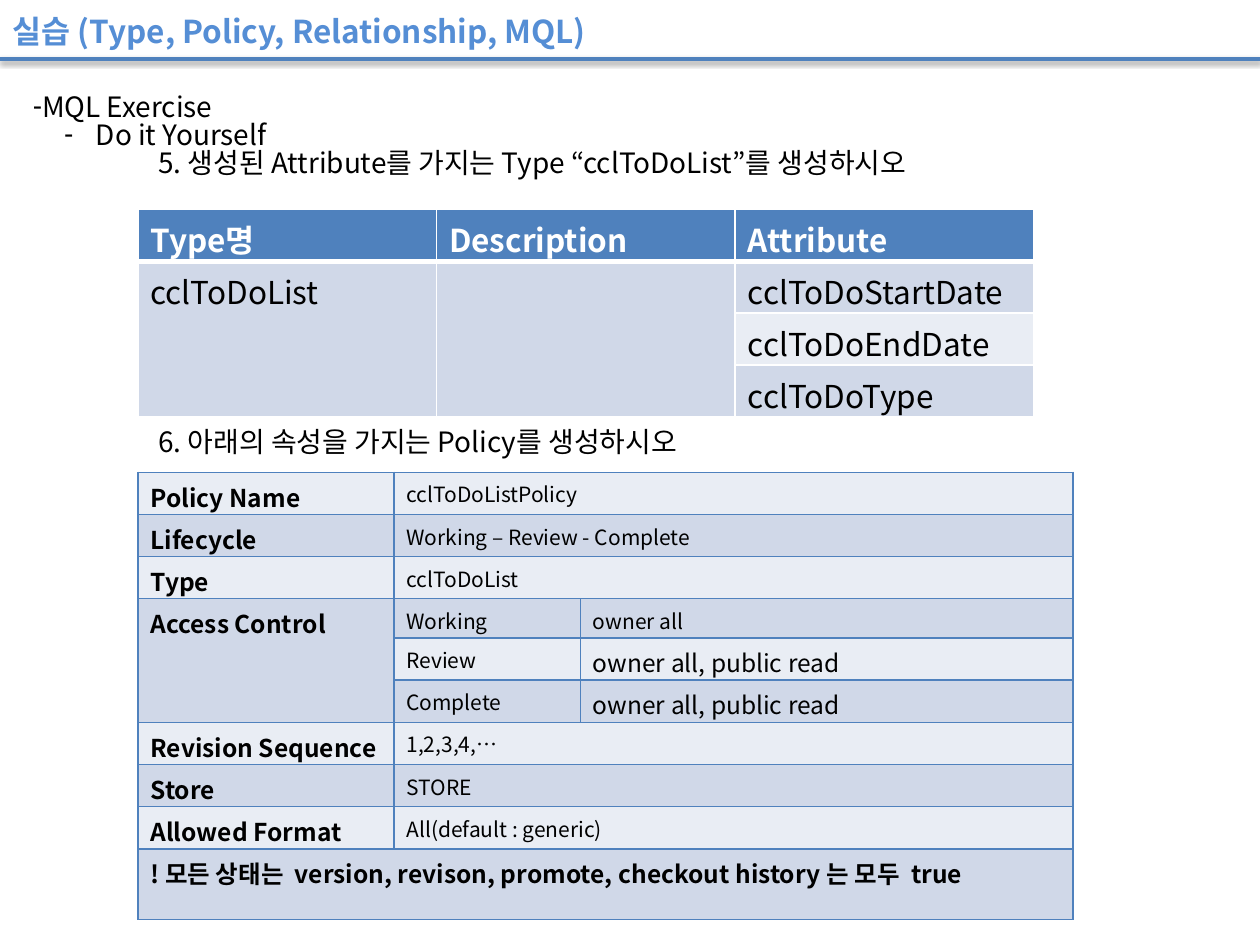
import pptx
import pptx.util
import pptx.dml.color
import pptx.enum.shapes
import pptx.enum.text
import pptx.oxml
import pptx.oxml.ns
from pptx.oxml.ns import qn

Cm, Pt = pptx.util.Cm, pptx.util.Pt
FONT = "Noto Sans CJK KR"
COLORS = {"title": "558ED5", "blue": "4F81BD", "text": "000000", "white": "FFFFFF",
          "dark_band": "D0D8E8", "light_band": "E9EDF4"}
LINE_SPACING = 0.84


def rgb(name):
    return pptx.dml.color.RGBColor.from_string(COLORS[name])


def add_xml(parent, xml):
    node = pptx.oxml.parse_xml(xml.replace(">", f" {pptx.oxml.ns.nsdecls('a')}>", 1))
    parent.append(node)


def format_runs(p, size, color="text", bold=False):
    for r in p.runs:
        r.font.size, r.font.bold, r.font.name = Pt(size), bold, FONT
        r.font.color.rgb = rgb(color)
        add_xml(r._r.get_or_add_rPr(), f'<a:ea typeface="{FONT}"></a:ea>')


def place(sp, box):
    sp.left, sp.top, sp.width, sp.height = [Cm(v) for v in box]
    tf = sp.text_frame
    tf.word_wrap = True
    tf.auto_size = pptx.enum.text.MSO_AUTO_SIZE.NONE
    tf.vertical_anchor = pptx.enum.text.MSO_ANCHOR.TOP
    return tf


def set_paragraph(p, margin, indent, bullet=None):
    p.alignment = pptx.enum.text.PP_ALIGN.LEFT
    p.line_spacing = LINE_SPACING
    p.space_before = p.space_after = Pt(0)
    pPr = p._p.get_or_add_pPr()
    pPr.set("marL", str(Cm(margin)))
    pPr.set("indent", str(Cm(indent)))
    add_xml(pPr, f'<a:buChar char="{bullet}"></a:buChar>' if bullet else "<a:buNone></a:buNone>")


def header(s, box):
    """Title with a shadowed rule under it, across the given band."""
    x, y, w, h = box
    rule = s.shapes.add_connector(pptx.enum.shapes.MSO_CONNECTOR.STRAIGHT,
                                  Cm(x), Cm(y + h), Cm(x + w), Cm(y + h))
    rule.line.color.rgb, rule.line.width = rgb("blue"), Pt(2)
    add_xml(rule._element.spPr,
            f'<a:effectLst><a:outerShdw blurRad="{Pt(3.1)}" dist="{Pt(1.6)}" dir="5400000" '
            'rotWithShape="0"><a:srgbClr val="000000"><a:alpha val="38000"/></a:srgbClr>'
            '</a:outerShdw></a:effectLst>')
    tf = place(s.shapes.title, (x, y + 0.23, 18.47, 1.02))
    tf.text = "실습 (Type, Policy, Relationship, MQL)"
    set_paragraph(tf.paragraphs[0], 0, 0)
    format_runs(tf.paragraphs[0], 18, "title", True)


def outline(sp, box, items):
    """List of (level, text) items in a body placeholder."""
    levels = [(0, 0, "-"), (1.27, -0.64, "-"), (3.5, -0.97, None)]
    tf = place(sp, box)
    for i, (level, text) in enumerate(items):
        p = tf.add_paragraph() if i else tf.paragraphs[0]
        p.text, p.level = text, level
        set_paragraph(p, *levels[level])
        format_runs(p, 16)


def new_table(s, x, y, cols, rows):
    tbl = s.shapes.add_table(len(rows), len(cols), Cm(x), Cm(y),
                             Cm(sum(cols)), Cm(sum(rows))).table
    tbl.first_row = tbl.horz_banding = False
    for column, width in zip(tbl.columns, cols):
        column.width = Cm(width)
    for row, height in zip(tbl.rows, rows):
        row.height = Cm(height)
    return tbl


def paint(cell, fill, border, bottom=1):
    cell.margin_bottom = 0
    tcPr = cell._tc.get_or_add_tcPr()
    for side in "LRTB":
        width = Pt(bottom if side == "B" else 1)
        add_xml(tcPr, f'<a:ln{side} w="{width}"><a:solidFill><a:srgbClr val="{COLORS[border]}"/>'
                      f'</a:solidFill></a:ln{side}>')
    cell.fill.solid()
    cell.fill.fore_color.rgb = rgb(fill)


def write(cell, text, size, color="text", bold=False):
    cell.text = text
    format_runs(cell.text_frame.paragraphs[0], size, color, bold)


def type_table(s, box):
    x, y, w, h = box
    attributes = ["cclToDoStartDate", "cclToDoEndDate", "cclToDoType"]
    tbl = new_table(s, x, y, [w / 3] * 3, [h / 4] * 4)
    for c, text in enumerate(["Type명", "Description", "Attribute"]):
        paint(tbl.cell(0, c), "blue", "white", 3)
        write(tbl.cell(0, c), text, 18, "white", True)
    for i, text in enumerate(attributes, 1):
        for c in range(3):
            light = c == 2 and i == 2
            paint(tbl.cell(i, c), "light_band" if light else "dark_band", "white")
        write(tbl.cell(i, 2), text, 18)
    for c in range(2):
        tbl.cell(1, c).merge(tbl.cell(3, c))
    write(tbl.cell(1, 0), "cclToDoList", 18)


def policy_table(s, box):
    x, y, w, h = box
    rows = [
        ("Policy Name", "cclToDoListPolicy"),
        ("Lifecycle", "Working – Review - Complete"),
        ("Type", "cclToDoList"),
        ("Access Control", "Working", "owner all", 12),
        ("", "Review", "owner all, public read", 14),
        ("", "Complete", "owner all, public read", 14),
        ("Revision Sequence", "1,2,3,4,…"),
        ("Store", "STORE"),
        ("Allowed Format", "All(default : generic)"),
        ("! 모든 상태는  version, revison, promote, checkout history 는 모두  true",),
    ]
    heights = [0.85] * 9
    heights[3] = 0.79
    cols = [5.16, 3.76]
    tbl = new_table(s, x, y, cols + [w - sum(cols)], heights + [h - sum(heights)])
    for i, (label, *values) in enumerate(rows):
        for c in range(3):
            paint(tbl.cell(i, c), "dark_band" if i % 2 else "light_band", "blue")
        if i in (4, 5):
            paint(tbl.cell(i, 0), "dark_band", "blue")
        if len(values) < 2:
            tbl.cell(i, len(values)).merge(tbl.cell(i, 2))
        if label:
            write(tbl.cell(i, 0), label, 14, bold=True)
        if values:
            write(tbl.cell(i, 1), values[0], 12)
        if len(values) > 1:
            write(tbl.cell(i, 2), values[1], values[2])
    tbl.cell(3, 0).merge(tbl.cell(5, 0))


def main():
    prs = pptx.Presentation()
    prs.slide_width, prs.slide_height = Cm(25.4), Cm(19.05)
    s = prs.slides.add_slide(prs.slide_layouts[3])
    header(s, (0, 0, 25.4, 1.19))
    outline(s.placeholders[1], (0.41, 1.78, 23.83, 6.4), [
        (0, "MQL Exercise"),
        (1, "Do it Yourself"),
        (2, "5. 생성된 Attribute를 가지는 Type “cclToDoList”를 생성하시오"),
    ])
    type_table(s, (2.78, 4.22, 18.06, 4.11))
    outline(s.placeholders[2], (0.41, 8.53, 23.83, 5.74),
            [(2, "6. 아래의 속성을 가지는 Policy를 생성하시오")])
    policy_table(s, (2.78, 9.52, 18.85, 9.02))
    prs.save("out.pptx")


if __name__ == "__main__":
    main()
